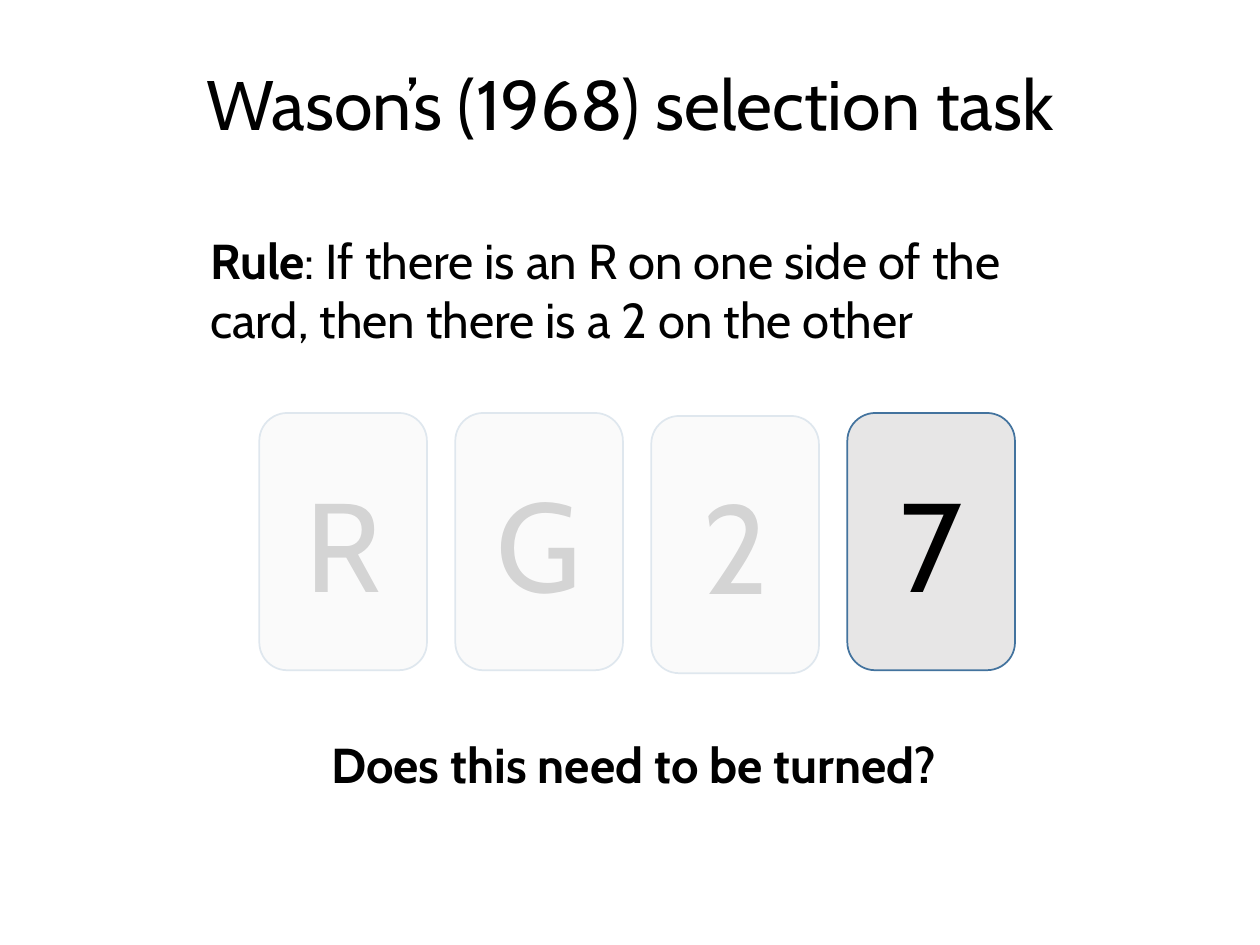
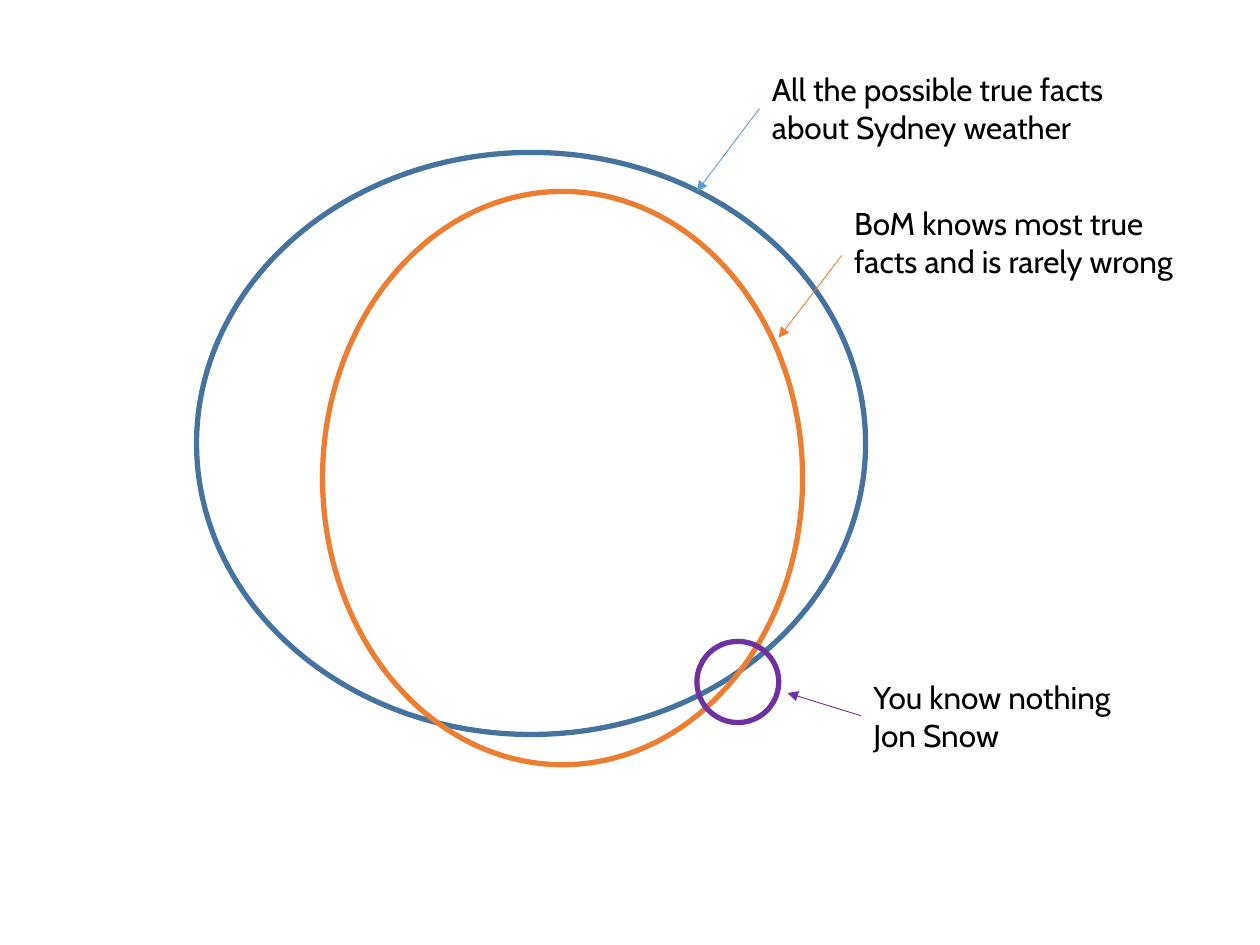
"""Builds two slides on Wason's selection task and on knowledge of true facts."""
from lxml.etree import SubElement
from pptx import Presentation
from pptx.dml.color import RGBColor
from pptx.enum.shapes import MSO_CONNECTOR, MSO_SHAPE
from pptx.enum.text import MSO_ANCHOR, MSO_AUTO_SIZE, PP_ALIGN
from pptx.oxml.ns import qn
from pptx.util import Pt

FONT = "Cabin"
BLACK = RGBColor(0x00, 0x00, 0x00)
WHITE = RGBColor(0xFF, 0xFF, 0xFF)
CARD_GREY = RGBColor(0xE7, 0xE6, 0xE6)
STEEL = RGBColor(0x43, 0x73, 0x9E)
SKY = RGBColor(0x5B, 0x9B, 0xD5)
ORANGE = RGBColor(0xED, 0x7D, 0x31)
PURPLE = RGBColor(0x70, 0x30, 0xA0)

TITLE_ONLY, BLANK = 5, 6
CARD_LEFT, CARD_TOP, CARD_PITCH = 148.2, 236, 112
CARD_WIDTH, CARD_HEIGHT = 95.8, 147


def points(*lengths):
    """Turn plain numbers into lengths in points."""
    return [Pt(length) for length in lengths]


def style(paragraph, size, bold=None, align=None):
    """Give a paragraph the deck's font and colour."""
    paragraph.alignment = align
    paragraph.font.name = FONT
    paragraph.font.size = Pt(size)
    paragraph.font.bold = bold
    paragraph.font.color.rgb = BLACK


def add_title(slide, wording):
    """Fill and place the title placeholder."""
    title = slide.shapes.title
    title.left, title.top, title.width, title.height = points(49.7, 28.8, 620.6, 66.2)
    title.text_frame.text = wording
    title.text_frame.vertical_anchor = MSO_ANCHOR.MIDDLE
    heading = title.text_frame.paragraphs[0]
    heading.line_spacing = 0.9
    style(heading, 40, align=PP_ALIGN.CENTER)


def add_text(slide, box, wording, size, bold=None, lead=None):
    """Add a wrapping text box, with an optional bold lead-in."""
    frame = slide.shapes.add_textbox(*points(*box)).text_frame
    frame.word_wrap = True
    frame.auto_size = MSO_AUTO_SIZE.SHAPE_TO_FIT_TEXT
    paragraph = frame.paragraphs[0]
    if lead:
        paragraph.add_run().text = lead
        paragraph.runs[0].font.bold = True
    paragraph.add_run().text = wording
    style(paragraph, size, bold)


def add_outline(slide, kind, box, fill=None, line=None, weight=1):
    """Add a flat preset shape; no fill or line unless given."""
    outline = slide.shapes.add_shape(kind, *points(*box))
    outline.shadow.inherit = False
    if fill is None:
        outline.fill.background()
    else:
        outline.fill.solid()
        outline.fill.fore_color.rgb = fill
    if line is None:
        outline.line.fill.background()
    else:
        outline.line.color.rgb = line
        outline.line.width = Pt(weight)
    return outline


def add_card(slide, position, symbol, drop=0):
    """Add one card of the row, lowered by drop."""
    box = (CARD_LEFT + position * CARD_PITCH, CARD_TOP + drop, CARD_WIDTH, CARD_HEIGHT)
    card = add_outline(slide, MSO_SHAPE.ROUNDED_RECTANGLE, box, CARD_GREY, STEEL)
    card.text_frame.text = symbol
    card.text_frame.vertical_anchor = MSO_ANCHOR.MIDDLE
    style(card.text_frame.paragraphs[0], 72, align=PP_ALIGN.CENTER)


def add_veil(slide, box, opacity):
    """Add a translucent white cover that fades what lies under it."""
    veil = add_outline(slide, MSO_SHAPE.RECTANGLE, box, WHITE)
    colour = veil.fill._xPr.find(qn("a:solidFill"))[0]
    SubElement(colour, qn("a:alpha"), val=str(opacity * 1000))


def add_arrow(slide, start, end, colour):
    """Add a thin arrow from start to end."""
    arrow = slide.shapes.add_connector(MSO_CONNECTOR.STRAIGHT, *points(*start, *end))
    arrow.line.color.rgb = colour
    arrow.line.width = Pt(0.5)
    SubElement(arrow.line._get_or_add_ln(), qn("a:tailEnd"), type="triangle")
    SubElement(arrow._element.spPr, qn("a:effectLst"))


def add_fact_set(slide, oval, colour, label, label_box, start, end, arrow_colour):
    """Add an oval of facts with its label and pointer."""
    add_outline(slide, MSO_SHAPE.OVAL, oval, line=colour, weight=3)
    add_text(slide, label_box, label, 18)
    add_arrow(slide, start, end, arrow_colour)


def build_selection_task(deck):
    """Build the slide with the rule and the four cards."""
    slide = deck.slides.add_slide(deck.slide_layouts[TITLE_ONLY])
    add_title(slide, "Wason’s (1968) selection task")
    add_text(slide, (113, 128.2, 467.3, 75), ": If there is an R on one side of the "
             "card, then there is a 2 on the other", 28, lead="Rule")
    for position, (symbol, drop) in enumerate([("R", 0), ("G", 0), ("2", 1.7), ("7", 0)]):
        add_card(slide, position, symbol, drop)
    add_text(slide, (182.2, 416.2, 406.8, 41), "Does this need to be turned?", 28, bold=True)
    add_veil(slide, (129, 213, 348, 186.5), opacity=83)


def build_weather_facts(deck):
    """Build the slide with the overlapping sets of facts."""
    slide = deck.slides.add_slide(deck.slide_layouts[BLANK])
    add_fact_set(slide, (112.3, 87.1, 382.3, 332.6), STEEL,
                 "All the possible true facts about Sydney weather",
                 (434, 36.7, 214, 51), (434, 62), (398.2, 109.4), SKY)
    add_fact_set(slide, (184.3, 109.4, 274.3, 327.6), ORANGE,
                 "BoM knows most true facts and is rarely wrong",
                 (481, 113, 214, 51), (481, 146), (445, 193), ORANGE)
    add_fact_set(slide, (398.2, 366.5, 46.8, 46.4), PURPLE,
                 "You know nothing Jon Snow",
                 (492, 384, 151, 51), (492, 409), (450, 396), PURPLE)


def main():
    """Build and save the deck."""
    deck = Presentation()
    deck.slide_width, deck.slide_height = points(720, 540)
    build_selection_task(deck)
    build_weather_facts(deck)
    deck.save("out.pptx")


if __name__ == "__main__":
    main()
